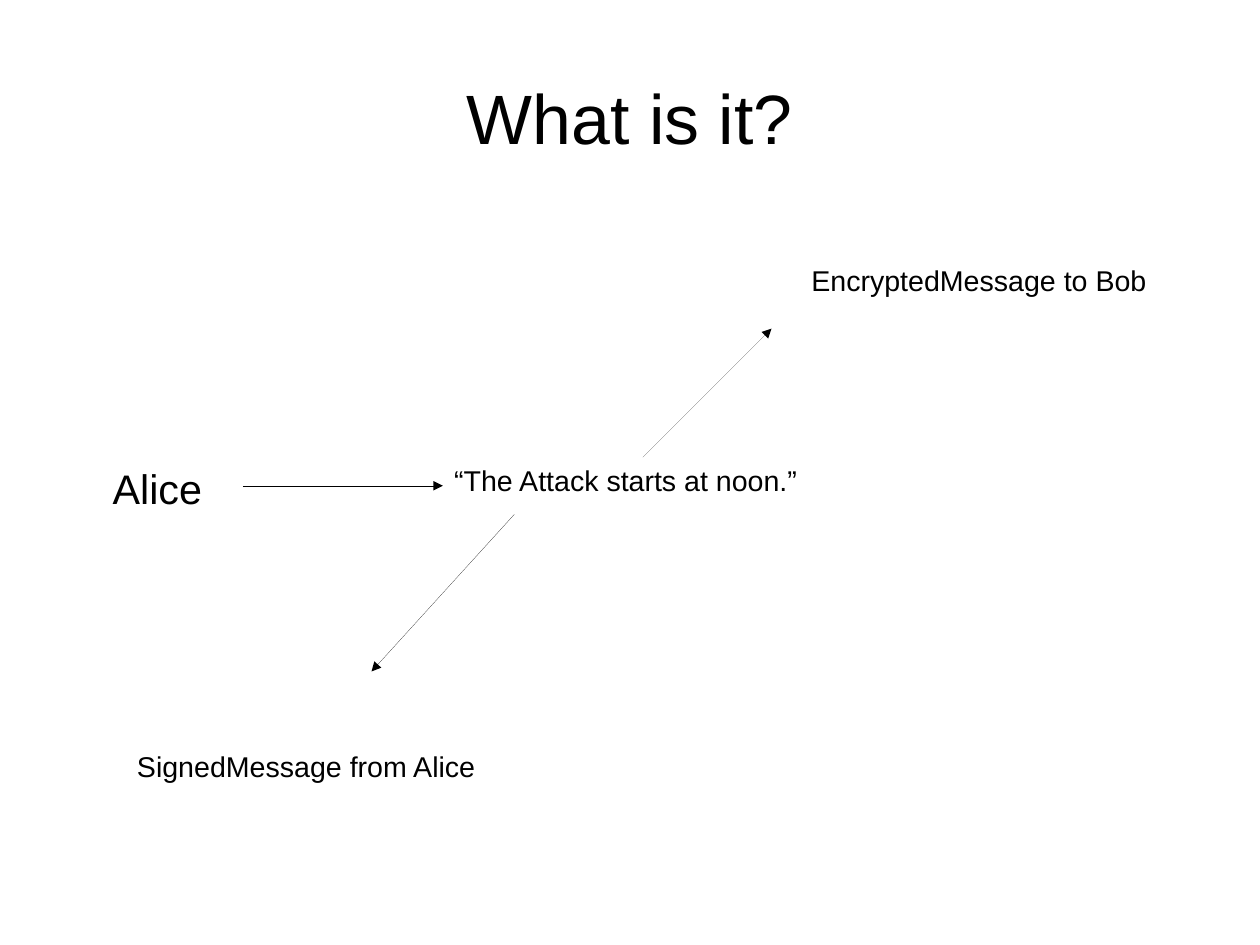
"""Build the slide on signed and encrypted messages, on a grid of eighths of an inch."""
import pptx
import pptx.util
import pptx.dml.color
import pptx.enum.shapes
import pptx.enum.text
import pptx.oxml
import pptx.oxml.ns

CELL = pptx.util.Inches(0.125)
FONT = "Arial"
INK = "000000"


def grid(*cells):
    return [round(n * CELL) for n in cells]


def style(frame, size):
    for run in frame.paragraphs[0].runs:
        run.font.name = FONT
        run.font.size = pptx.util.Pt(size)
        run.font.color.rgb = pptx.dml.color.RGBColor.from_string(INK)


deck = pptx.Presentation()
deck.slide_width = pptx.util.Cm(28)
deck.slide_height = pptx.util.Cm(21)
slide = deck.slides.add_slide(deck.slide_layouts[5])

title = slide.shapes.title
title.left = round(deck.slide_width * 0.05)
title.top = round(deck.slide_height * 0.04)
title.width = round(deck.slide_width * 0.9)
title.height = round(deck.slide_height / 6)
frame = title.text_frame
frame.text = "What is it?"
frame.margin_left = frame.margin_right = frame.margin_top = frame.margin_bottom = 0
frame.vertical_anchor = pptx.enum.text.MSO_ANCHOR.MIDDLE
frame.auto_size = pptx.enum.text.MSO_AUTO_SIZE.NONE
frame.paragraphs[0].alignment = pptx.enum.text.PP_ALIGN.CENTER
style(frame, 44)

labels = [
    ("“The Attack starts at noon.”", (31, 32, 28, 3), 18, True),
    ("Alice", (7.1, 32, 8, 4), 26, False),
    ("EncryptedMessage to Bob", (56, 18, 25.2, 3), 18, False),
    ("SignedMessage from Alice", (8.8, 52, 25.3, 3), 18, False),
]
for text, place, size, wrap in labels:
    frame = slide.shapes.add_textbox(*grid(*place)).text_frame
    frame.text = text
    frame.word_wrap = wrap
    frame.auto_size = pptx.enum.text.MSO_AUTO_SIZE.SHAPE_TO_FIT_TEXT
    style(frame, size)

arrows = [(45, 32, 54, 23), (36, 36, 26, 47), (17, 34, 31, 34)]
for ends in arrows:
    arrow = slide.shapes.add_connector(
        pptx.enum.shapes.MSO_CONNECTOR.STRAIGHT, *grid(*ends))
    arrow.line.color.rgb = pptx.dml.color.RGBColor.from_string(INK)
    line = arrow._element.spPr.find(pptx.oxml.ns.qn("a:ln"))
    line.set("w", "0")
    head = pptx.oxml.parse_xml(
        f'<a:tailEnd {pptx.oxml.ns.nsdecls("a")} type="triangle"/>')
    line.append(head)
    flat = pptx.oxml.parse_xml(f'<a:effectLst {pptx.oxml.ns.nsdecls("a")}/>')
    arrow._element.spPr.append(flat)

deck.save("out.pptx")
